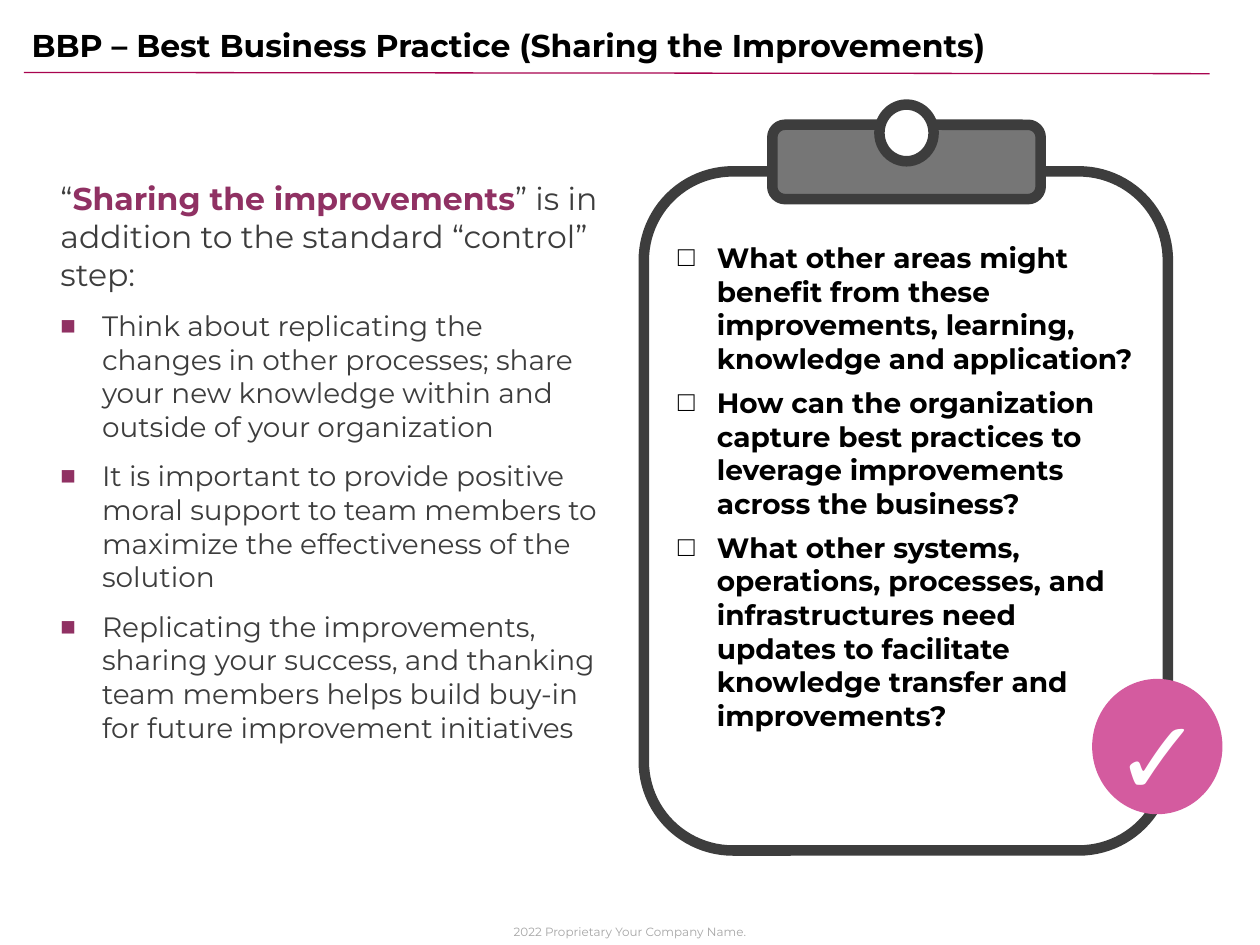
from lxml.etree import SubElement
from pptx import Presentation
from pptx.dml.color import RGBColor
from pptx.enum.shapes import MSO_CONNECTOR, MSO_SHAPE
from pptx.enum.text import MSO_ANCHOR, MSO_AUTO_SIZE, PP_ALIGN
from pptx.oxml.ns import qn
from pptx.util import Inches, Pt

BLACK = RGBColor(0x00, 0x00, 0x00)
WHITE = RGBColor(0xFF, 0xFF, 0xFF)
CHARCOAL = RGBColor(0x3D, 0x3D, 0x3D)
GREY = RGBColor(0x76, 0x76, 0x76)
FOOTER_GREY = RGBColor(0xA6, 0xA6, 0xA6)
CRIMSON = RGBColor(0xA8, 0x03, 0x4F)
PLUM = RGBColor(0x90, 0x31, 0x63)
PINK = RGBColor(0xD4, 0x5B, 0x9F)

COLUMNS, ROWS = 100, 75
WIDTH, HEIGHT = Inches(10), Inches(7.5)

TITLE = "BBP – Best Business Practice (Sharing the Improvements)"
INTRO = ("“", "Sharing the improvements",
         "” is in addition to the standard “control” step:")
ADVICE = (
    "Think about replicating the changes in other processes; share your new "
    "knowledge within and outside of your organization",
    "It is important to provide positive moral support to team members to "
    "maximize the effectiveness of the solution",
    "Replicating the improvements, sharing your success, and thanking team "
    "members helps build buy-in for future improvement initiatives",
)
QUESTIONS = (
    "What other areas might benefit from these improvements, learning, "
    "knowledge and application?",
    "How can the organization capture best practices to leverage improvements "
    "across the business?",
    "What other systems, operations, processes, and infrastructures need "
    "updates to facilitate knowledge transfer and improvements?",
)


def apply_format(target, values):
    for name, value in values.items():
        setattr(target, name, value)


class SlideBuilder:
    """Holds the text style and the current slide; lengths are grid units."""

    font_name = "Montserrat"

    def __init__(self, slide):
        self.slide = slide

    def box(self, left, top, width, height):
        column, row = WIDTH / COLUMNS, HEIGHT / ROWS
        return (round(left * column), round(top * row),
                round(width * column), round(height * row))

    def place(self, shape, grid_box):
        sides = ("left", "top", "width", "height")
        apply_format(shape, dict(zip(sides, self.box(*grid_box))))

    def frame(self, shape, wrap=True):
        apply_format(shape.text_frame, {
            "word_wrap": wrap, "auto_size": MSO_AUTO_SIZE.NONE,
            "vertical_anchor": MSO_ANCHOR.TOP})
        return shape.text_frame

    def run(self, paragraph, text, size, color, bold=False, font_name=None):
        run = paragraph.add_run()
        run.text = text
        apply_format(run.font, {"size": Pt(size), "bold": bold,
                                "name": font_name or self.font_name})
        run.font.color.rgb = color

    def title(self, text, grid_box):
        title = self.slide.shapes.title
        self.place(title, grid_box)
        paragraph = self.frame(title).paragraphs[0]
        paragraph.alignment = PP_ALIGN.LEFT
        self.run(paragraph, text, 18, BLACK, bold=True)

    def body(self, index, grid_box):
        placeholder = self.slide.placeholders[index]
        self.place(placeholder, grid_box)
        return self.frame(placeholder)

    def bullet(self, paragraph, indent, character=None, color=BLACK, percent=100):
        """Set a hanging bullet, or none when no character is given."""
        properties = paragraph._p.get_or_add_pPr()
        properties.set("marL", str(Inches(indent)))
        properties.set("indent", str(-Inches(indent)))
        if character is None:
            SubElement(properties, qn("a:buNone"))
            return
        bullet_color = SubElement(properties, qn("a:buClr"))
        SubElement(bullet_color, qn("a:srgbClr"), val=str(color))
        SubElement(properties, qn("a:buSzPct"), val=str(percent * 1000))
        SubElement(properties, qn("a:buChar"), char=character)

    def items(self, frame, texts, spacing, text_style, bullet_style):
        for text in texts:
            first = frame.paragraphs[0]
            paragraph = frame.add_paragraph() if first.runs else first
            apply_format(paragraph, spacing)
            self.bullet(paragraph, **bullet_style)
            self.run(paragraph, text, 16, **text_style)

    def text(self, text, grid_box, wrap=True, alignment=PP_ALIGN.LEFT, **style):
        shape = self.slide.shapes.add_textbox(*self.box(*grid_box))
        paragraph = self.frame(shape, wrap).paragraphs[0]
        paragraph.alignment = alignment
        self.run(paragraph, text, **style)

    def shape(self, kind, grid_box, fill, line, weight, corner=None):
        shape = self.slide.shapes.add_shape(kind, *self.box(*grid_box))
        shape.shadow.inherit = False
        if fill is None:
            shape.fill.background()
        else:
            shape.fill.solid()
            shape.fill.fore_color.rgb = fill
        shape.line.color.rgb = line
        shape.line.width = Pt(weight)
        if corner is not None:
            shape.adjustments[0] = corner

    def rule(self, left, top, width, height, color, weight):
        x, y, across, down = self.box(left, top, width, height)
        line = self.slide.shapes.add_connector(
            MSO_CONNECTOR.STRAIGHT, x, y, x + across, y + down)
        line.line.color.rgb = color
        line.line.width = Pt(weight)
        SubElement(line._element.spPr, qn("a:effectLst"))


def main():
    presentation = Presentation()
    apply_format(presentation, {"slide_width": WIDTH, "slide_height": HEIGHT})
    two_content = presentation.slide_layouts[3]
    builder = SlideBuilder(presentation.slides.add_slide(two_content))

    builder.text("2022 Proprietary Your Company Name.", (38.8, 72.9, 22.4, 2.1),
                 wrap=False, alignment=PP_ALIGN.CENTER, size=6.8, color=FOOTER_GREY)
    builder.rule(1.9, 5.75, 94.1, 0.1, CRIMSON, 0.75)
    builder.title(TITLE, (1.5, 1.6, 78.7, 4))

    advice = builder.body(1, (3.8, 13.7, 45, 52.5))
    intro = advice.paragraphs[0]
    intro.space_after = Pt(6)
    builder.bullet(intro, 0)
    for text, color in zip(INTRO, (CHARCOAL, PLUM, CHARCOAL)):
        builder.run(intro, text, 18, color, bold=color == PLUM)
    builder.items(advice, ADVICE, {"space_after": Pt(6)}, {"color": CHARCOAL},
                  {"indent": 0.33, "character": "■", "color": PLUM, "percent": 92})

    questions = builder.body(2, (52.8, 18.6, 38.2, 43.1))
    builder.items(questions, QUESTIONS, {"space_before": Pt(6)},
                  {"color": BLACK, "bold": True},
                  {"indent": 0.31, "character": "□"})

    rounded, ellipse = MSO_SHAPE.ROUNDED_RECTANGLE, MSO_SHAPE.OVAL
    builder.shape(rounded, (51.1, 13.6, 41.6, 53.9), None, CHARCOAL, 6, corner=0.17)
    builder.shape(rounded, (61.3, 9.9, 21.3, 5.9), GREY, CHARCOAL, 6, corner=0.17)
    builder.shape(ellipse, (69.8, 8.3, 4.3, 4.5), WHITE, CHARCOAL, 6)
    builder.shape(ellipse, (86.8, 54, 10.1, 10.5), PINK, PINK, 1.75)
    builder.text("✓", (87.5, 54.3, 8.6, 12), wrap=False, size=60, color=WHITE,
                 bold=True, font_name="Calibri")

    presentation.save("out.pptx")


if __name__ == "__main__":
    main()
